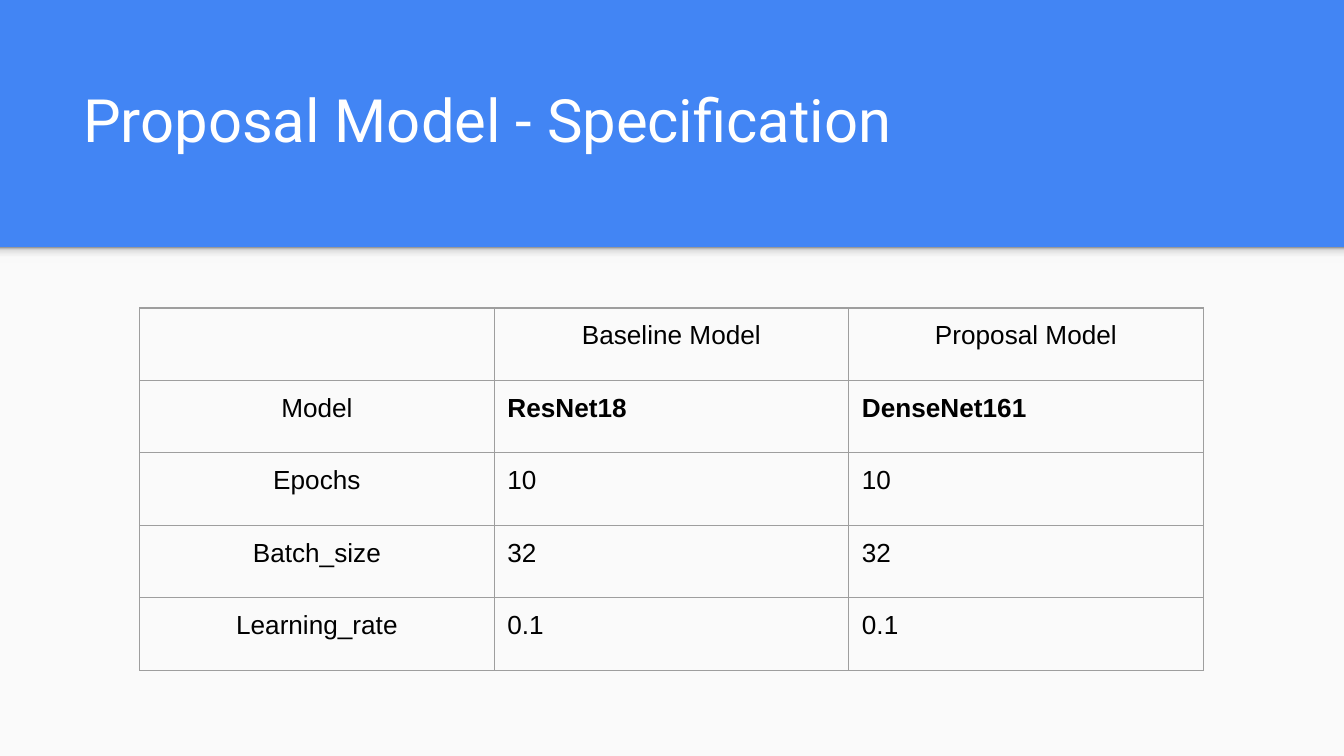
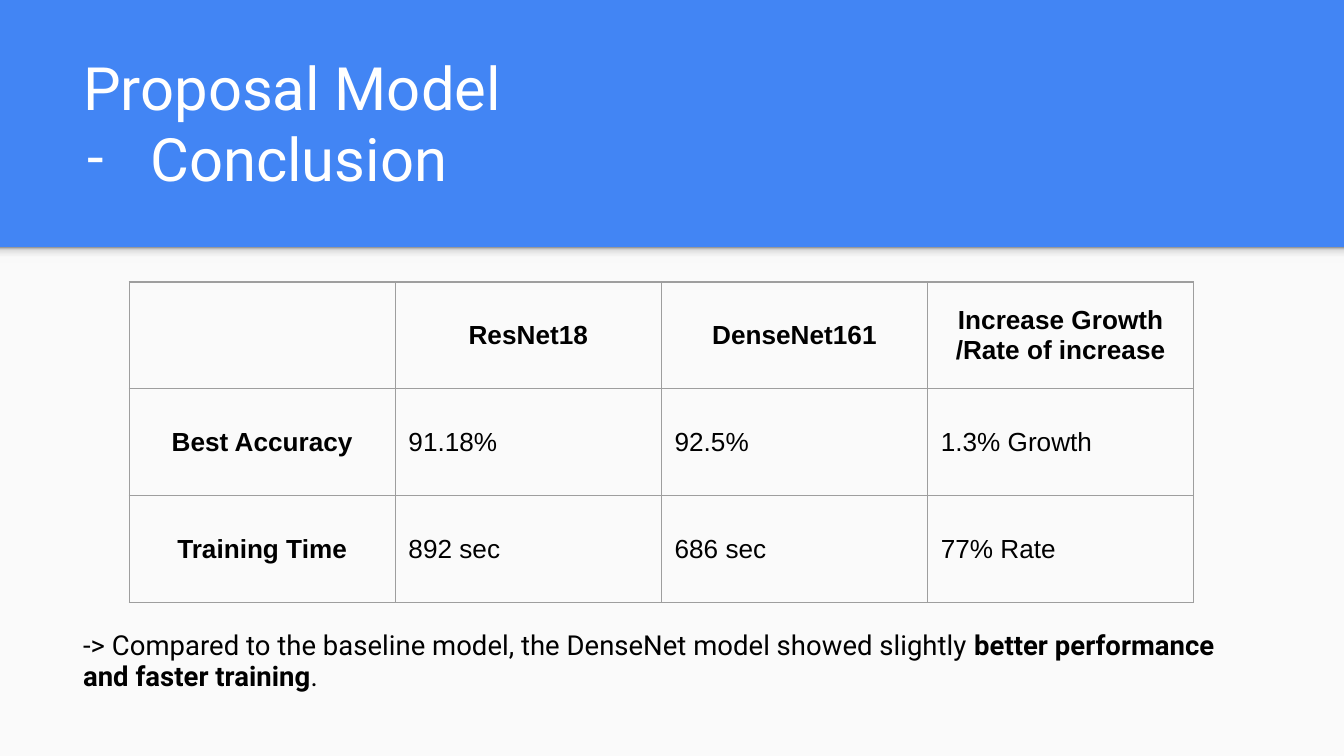
from dataclasses import dataclass
from typing import NamedTuple

from lxml.etree import SubElement
from pptx import Presentation
from pptx.dml.color import RGBColor
from pptx.enum.shapes import MSO_SHAPE
from pptx.enum.text import MSO_ANCHOR, MSO_AUTO_SIZE, PP_ALIGN
from pptx.oxml.ns import qn
from pptx.util import Cm, Pt

BLUE = RGBColor(0x42, 0x85, 0xF4)
PANEL = RGBColor(0xFA, 0xFA, 0xFA)
WHITE = RGBColor(0xFF, 0xFF, 0xFF)
BLACK = RGBColor(0x00, 0x00, 0x00)
GRID = RGBColor(0x9E, 0x9E, 0x9E)
SHADE_LIGHT = RGBColor(0xF9, 0xF9, 0xF9)
SHADE_MID = RGBColor(0xDE, 0xDE, 0xDE)
SHADE_DARK = RGBColor(0x99, 0x99, 0x99)
SHADE_STOPS = ((0, SHADE_LIGHT), (36, SHADE_LIGHT), (80, SHADE_MID), (100, SHADE_DARK))

HEADING_FONT = "Roboto"
TABLE_FONT = "Arial"
TITLE_SIZE = Pt(32)
TABLE_SIZE = Pt(14)
SUMMARY_SIZE = Pt(14.7)

SLIDE_WIDTH, SLIDE_HEIGHT = Cm(25.4), Cm(14.29)
HEADER_HEIGHT = Cm(4.67)
INSET = Cm(0.25)


class Box(NamedTuple):
    left: int
    top: int
    width: int
    height: int


class Phrase(NamedTuple):
    text: str
    bold: bool = False


@dataclass(frozen=True)
class Comparison:
    """A grid of results whose first row and first column hold the labels."""
    left: int
    top: int
    column_width: int
    row_height: int
    anchor: MSO_ANCHOR
    rows: tuple[tuple[str, ...], ...]
    bold_cells: frozenset[tuple[int, int]]


SPECIFICATION = Comparison(
    Cm(2.64), Cm(5.82), Cm(6.7), Cm(1.37), MSO_ANCHOR.TOP,
    (
        ("", "Baseline Model", "Proposal Model"),
        ("Model", "ResNet18", "DenseNet161"),
        ("Epochs", "10", "10"),
        ("Batch_size", "32", "32"),
        ("Learning_rate", "0.1", "0.1"),
    ),
    frozenset({(1, 1), (1, 2)}),
)
CONCLUSION = Comparison(
    Cm(2.44), Cm(5.33), Cm(5.03), Cm(2.02), MSO_ANCHOR.MIDDLE,
    (
        ("", "ResNet18", "DenseNet161", "Increase Growth /Rate of increase"),
        ("Best Accuracy", "91.18%", "92.5%", "1.3% Growth"),
        ("Training Time", "892 sec", "686 sec", "77% Rate"),
    ),
    frozenset({(0, 1), (0, 2), (0, 3), (1, 0), (2, 0)}),
)
SUMMARY = (
    Phrase("-> Compared to the baseline model, the DenseNet model showed slightly "),
    Phrase("better performance and faster training", bold=True),
    Phrase("."),
)


def add_color(parent, color: RGBColor) -> None:
    SubElement(parent, qn("a:srgbClr"), val=str(color))


def add_plain_rectangle(slide, box: Box):
    rectangle = slide.shapes.add_shape(MSO_SHAPE.RECTANGLE, *box)
    rectangle.shadow.inherit = False
    rectangle.line.fill.background()
    return rectangle


def shade_upwards(shape) -> None:
    shape.fill.gradient()
    shape.fill.gradient_angle = 90
    stops = shape.element.spPr.find(f".//{qn('a:gsLst')}")
    for stop in list(stops):
        stops.remove(stop)
    for percent, color in SHADE_STOPS:
        add_color(SubElement(stops, qn("a:gs"), pos=str(percent * 1000)), color)


def decorate_master(master, slide) -> None:
    """Draw the header and panel on a slide, then move them to the master."""
    master.background.fill.solid()
    master.background.fill.fore_color.rgb = BLUE
    panel = add_plain_rectangle(
        slide, Box(0, HEADER_HEIGHT, SLIDE_WIDTH, SLIDE_HEIGHT - HEADER_HEIGHT))
    panel.fill.solid()
    panel.fill.fore_color.rgb = PANEL
    header_shade = add_plain_rectangle(slide, Box(0, HEADER_HEIGHT, SLIDE_WIDTH, Cm(0.3)))
    shade_upwards(header_shade)
    for index, shape in enumerate((panel, header_shade), start=2):
        master.element.cSld.spTree.insert(index, shape.element)


def place_placeholder(placeholder, box: Box, anchor: MSO_ANCHOR):
    placeholder.left, placeholder.top, placeholder.width, placeholder.height = box
    frame = placeholder.text_frame
    frame.word_wrap = True
    frame.auto_size = MSO_AUTO_SIZE.NONE
    frame.vertical_anchor = anchor
    frame.margin_left = frame.margin_right = INSET
    frame.margin_top = frame.margin_bottom = INSET
    return frame


def add_run(paragraph, phrase: Phrase, font_name: str, size: int, color: RGBColor) -> None:
    run = paragraph.add_run()
    run.text = phrase.text
    run.font.name = font_name
    run.font.size = size
    run.font.bold = phrase.bold
    run.font.color.rgb = color


def set_dash_bullet(paragraph) -> None:
    properties = paragraph._p.get_or_add_pPr()
    properties.set("marL", str(Cm(1.27)))
    properties.set("indent", str(-Cm(1.19)))
    add_color(SubElement(properties, qn("a:buClr")), WHITE)
    SubElement(properties, qn("a:buFont"), typeface=HEADING_FONT)
    SubElement(properties, qn("a:buChar"), char="-")


def write_title(slide, box: Box, heading: str, dashed_line: str = "") -> None:
    frame = place_placeholder(slide.shapes.title, box, MSO_ANCHOR.MIDDLE)
    paragraph = frame.paragraphs[0]
    paragraph.alignment = PP_ALIGN.LEFT
    add_run(paragraph, Phrase(heading), HEADING_FONT, TITLE_SIZE, WHITE)
    if dashed_line:
        paragraph = frame.add_paragraph()
        set_dash_bullet(paragraph)
        paragraph.alignment = PP_ALIGN.LEFT
        add_run(paragraph, Phrase(dashed_line), HEADING_FONT, TITLE_SIZE, WHITE)


def write_summary(slide, box: Box) -> None:
    frame = place_placeholder(slide.placeholders[1], box, MSO_ANCHOR.TOP)
    paragraph = frame.paragraphs[0]
    properties = paragraph._p.get_or_add_pPr()
    properties.set("marL", "0")
    properties.set("indent", "0")
    SubElement(properties, qn("a:buNone"))
    paragraph.line_spacing = 0.95
    paragraph.space_before = Pt(0)
    for phrase in SUMMARY:
        add_run(paragraph, phrase, HEADING_FONT, SUMMARY_SIZE, BLACK)


def outline_cell(cell) -> None:
    properties = cell._tc.get_or_add_tcPr()
    for side in ("lnL", "lnR", "lnT", "lnB"):
        line = SubElement(properties, qn(f"a:{side}"), w=str(Pt(0.75)))
        add_color(SubElement(line, qn("a:solidFill")), GRID)


def add_comparison(slide, comparison: Comparison) -> None:
    row_count, column_count = len(comparison.rows), len(comparison.rows[0])
    table = slide.shapes.add_table(
        row_count, column_count, comparison.left, comparison.top,
        comparison.column_width * column_count, comparison.row_height * row_count,
    ).table
    table.first_row = table.horz_banding = False
    for row_index, row in enumerate(comparison.rows):
        for column_index, text in enumerate(row):
            cell = table.cell(row_index, column_index)
            outline_cell(cell)
            cell.fill.background()
            cell.vertical_anchor = comparison.anchor
            cell.margin_left = cell.margin_right = INSET
            cell.margin_top = cell.margin_bottom = INSET
            if not text:
                continue
            is_label = row_index == 0 or column_index == 0
            paragraph = cell.text_frame.paragraphs[0]
            paragraph.alignment = PP_ALIGN.CENTER if is_label else PP_ALIGN.LEFT
            bold = (row_index, column_index) in comparison.bold_cells
            add_run(paragraph, Phrase(text, bold), TABLE_FONT, TABLE_SIZE, BLACK)


def main() -> None:
    presentation = Presentation()
    presentation.slide_width, presentation.slide_height = SLIDE_WIDTH, SLIDE_HEIGHT
    title_and_content = presentation.slide_layouts[1]
    title_only = presentation.slide_layouts[5]

    specification = presentation.slides.add_slide(title_only)
    decorate_master(presentation.slide_master, specification)
    write_title(specification, Box(Cm(1.32), Cm(0.33), Cm(22.83), Cm(3.84)),
                "Proposal Model - Specification")
    add_comparison(specification, SPECIFICATION)

    conclusion = presentation.slides.add_slide(title_and_content)
    write_title(conclusion, Box(Cm(1.32), Cm(0.43), Cm(22.83), Cm(3.76)),
                "Proposal Model", "Conclusion")
    write_summary(conclusion, Box(Cm(1.32), Cm(11.66), Cm(22.83), Cm(2.5)))
    add_comparison(conclusion, CONCLUSION)

    presentation.save("out.pptx")


if __name__ == "__main__":
    main()
